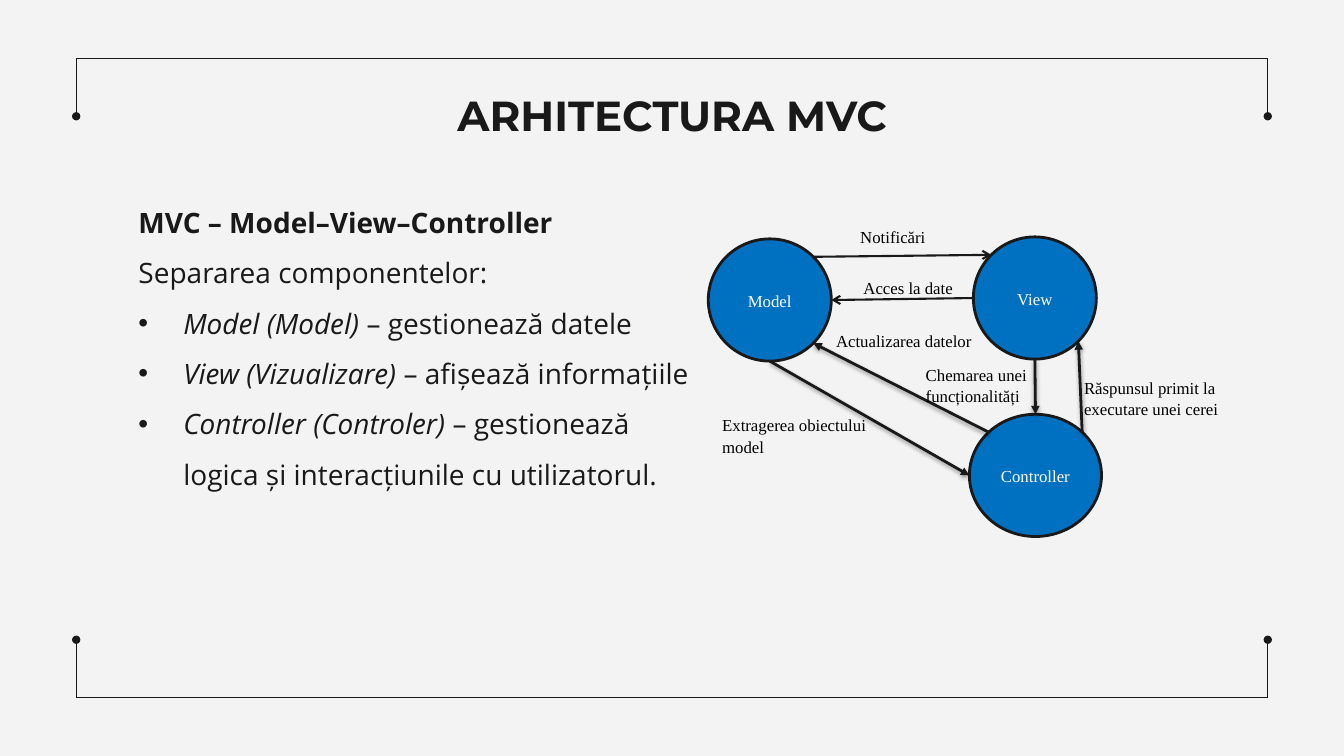
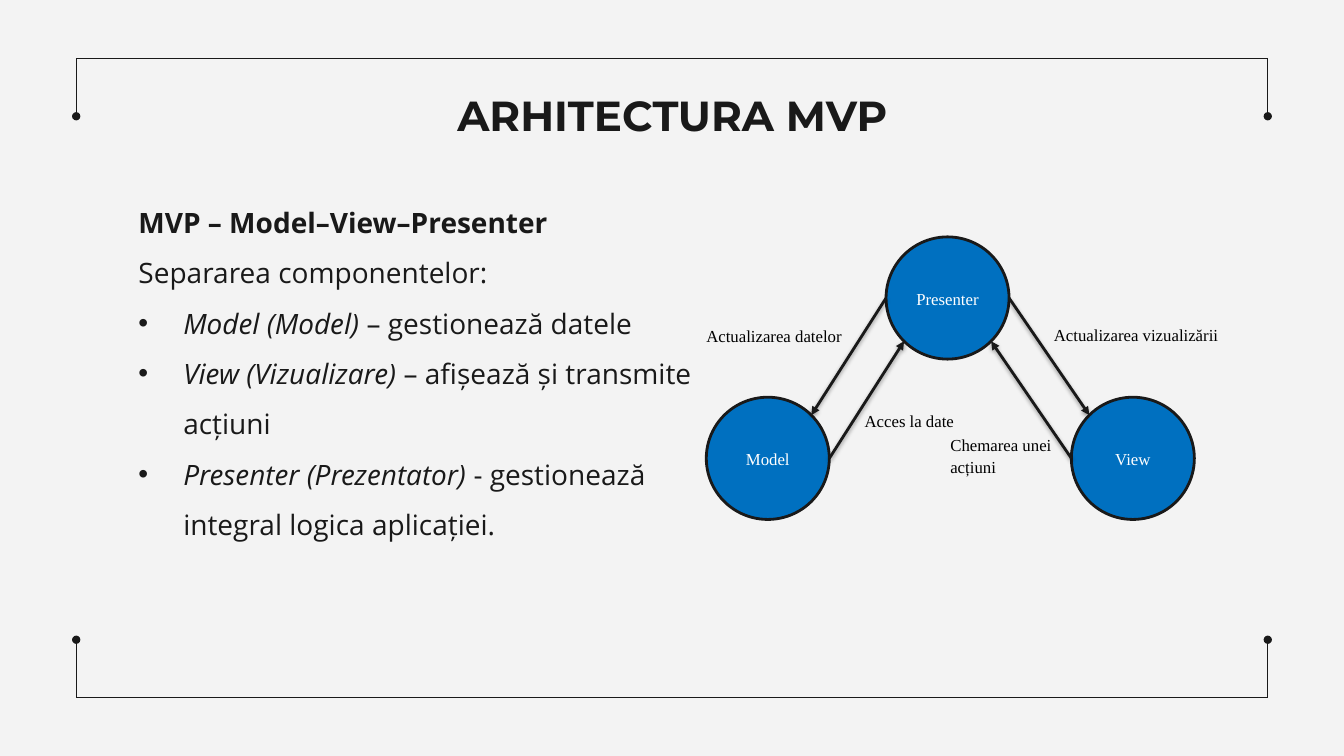
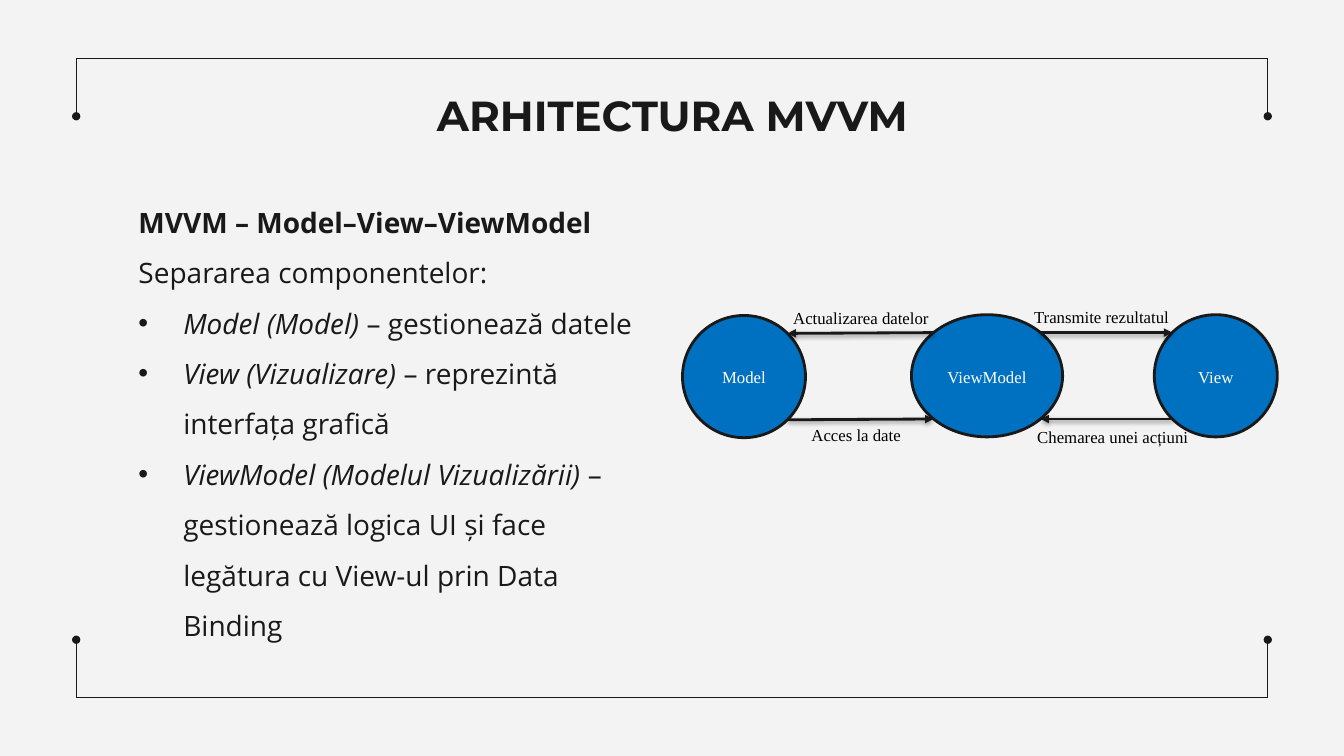
from math import cos, radians, sin

from lxml.etree import SubElement
from pptx import Presentation
from pptx.dml.color import RGBColor
from pptx.enum.shapes import MSO_CONNECTOR, MSO_SHAPE
from pptx.enum.text import MSO_ANCHOR, MSO_AUTO_SIZE, PP_ALIGN
from pptx.oxml.ns import qn
from pptx.util import Cm, Pt

COLORS = {"bg": "F3F3F3", "ink": "191919", "node": "0070C0",
          "white": "FFFFFF", "label": "000000"}
TITLE_FONT, BODY_FONT, DIAGRAM_FONT = "Montserrat", "Open Sans", "Times New Roman"
SLIDE_W, SLIDE_H = 33.87, 19.05
SITES = ["top", "top left", "left", "bottom left",
         "bottom", "bottom right", "right", "top right"]
NODE_W, NODE_H = 3.1, 3.08

SLIDES = [
    {
        "title": "ARHITECTURA MVC",
        "heading": "MVC – Model–View–Controller",
        "bullets": [("Model (Model)", " – gestionează datele"),
                    ("View (Vizualizare)", " – afișează informațiile"),
                    ("Controller (Controler)",
                     " – gestionează logica și interacțiunile cu utilizatorul.")],
        "body": (2.67, 4.5, 15.24, 8.28),
        "origin": (17.85, 5.54),
        "nodes": {"Model": (0, 0.48, NODE_W), "View": (6.68, 0.43, NODE_W),
                  "Controller": (6.58, 4.9, 3.33)},
        "arrows": [("Model", "bottom", "Controller", "left", True),
                   ("Controller", "top left", "Model", "bottom right", True),
                   ("View", "left", "Model", "right", False),
                   ("View", "bottom", "Controller", "top", True),
                   ("Controller", "top right", "View", "bottom right", True),
                   ("Model", "top right", "View", "top left", False)],
        "labels": [("Acces la date", 3.66, 1.3, 2.9),
                   ("Notificări", 3.58, 0, 2.7),
                   ("Răspunsul primit la executare unei cerei", 9.22, 3.81, 4.11),
                   ("Chemarea unei funcționalități", 5.23, 3.48, 3.48),
                   ("Actualizarea datelor", 2.97, 2.64, 4.22),
                   ("Extragerea obiectului model", 0.1, 4.75, 4.22)],
    },
    {
        "title": "ARHITECTURA MVP",
        "heading": "MVP – Model–View–Presenter",
        "bullets": [("Model (Model)", " – gestionează datele"),
                    ("View (Vizualizare)", " – afișează și transmite acțiuni"),
                    ("Presenter (Prezentator)",
                     " - gestionează integral logica aplicației.")],
        "body": (2.67, 4.5, 15.09, 9.25),
        "origin": (17.55, 5.97),
        "nodes": {"Model": (0.25, 4.04, NODE_W), "View": (9.45, 4.04, NODE_W),
                  "Presenter": (4.78, 0, NODE_W)},
        "arrows": [("Model", "right", "Presenter", "bottom left", True),
                   ("Presenter", "left", "Model", "top right", True),
                   ("View", "left", "Presenter", "bottom right", True),
                   ("Presenter", "right", "View", "top left", True)],
        "labels": [("Actualizarea datelor", 0, 2.08, 4.5),
                   ("Acces la date", 3.99, 4.22, 3),
                   ("Chemarea unei acțiuni", 6.15, 4.83, 3.1),
                   ("Actualizarea vizualizării", 8.76, 2.06, 4.9)],
    },
    {
        "title": "ARHITECTURA MVVM",
        "heading": "MVVM – Model–View–ViewModel",
        "bullets": [("Model (Model)", " – gestionează datele"),
                    ("View (Vizualizare)", " – reprezintă interfața grafică"),
                    ("ViewModel (Modelul Vizualizării)",
                     " – gestionează logica UI și face legătura cu View-ul prin Data Binding")],
        "body": (2.67, 4.5, 13.82, 10.62),
        "origin": (17.2, 7.57),
        "nodes": {"Model": (0, 0.38, NODE_W), "View": (11.89, 0.36, NODE_W),
                  "ViewModel": (5.77, 0.36, 3.81)},
        "arrows": [("Model", "bottom right", "ViewModel", "bottom left", True),
                   ("ViewModel", "top left", "Model", "top right", True),
                   ("View", "bottom left", "ViewModel", "bottom right", True),
                   ("ViewModel", "top right", "View", "top left", True)],
        "labels": [("Actualizarea datelor", 2.54, 0.03, 4.5),
                   ("Acces la date", 3, 2.97, 3),
                   ("Chemarea unei acțiuni", 8.69, 3.02, 4.52),
                   ("Transmite rezultatul", 8.61, 0, 4.06)],
    },
]


def rgb(name):
    return RGBColor.from_string(COLORS[name])


def write(p, text, size=12, font=DIAGRAM_FONT, color="label", bold=False,
          italic=False, align=PP_ALIGN.LEFT, spacing=None, after=None):
    p.alignment = align
    if spacing:
        p.line_spacing = spacing
    if after:
        p.space_after = Pt(after)
    r = p.add_run()
    r.text = text
    r.font.size, r.font.name = Pt(size), font
    r.font.bold, r.font.italic = bold, italic
    r.font.color.rgb = rgb(color)


def set_frame(tf, inset_x=0.25, inset_y=0.25, anchor=MSO_ANCHOR.TOP):
    tf.word_wrap = True
    tf.auto_size = MSO_AUTO_SIZE.NONE
    tf.vertical_anchor = anchor
    tf.margin_left = tf.margin_right = Cm(inset_x)
    tf.margin_top = tf.margin_bottom = Cm(inset_y)


def add_line(shapes, start, end, width, tail=None, shadow=False):
    cxn = shapes.add_connector(MSO_CONNECTOR.STRAIGHT, *map(Cm, start + end))
    cxn.line.color.rgb = rgb("ink")
    cxn.line.width = Pt(width)
    if tail:
        SubElement(cxn.line._get_or_add_ln(), qn("a:tailEnd"), type=tail)
    effects = SubElement(cxn._element.spPr, qn("a:effectLst"))
    if shadow:
        outer = SubElement(effects, qn("a:outerShdw"), blurRad="40000",
                           dist="20000", dir="5400000", rotWithShape="0")
        clr = SubElement(outer, qn("a:srgbClr"), val=COLORS["label"])
        SubElement(clr, qn("a:alpha"), val="38000")
    return cxn


def add_border(layout, shapes, margin_x=1.92, margin_y=1.47, arm=1.46):
    left, right = margin_x, SLIDE_W - margin_x
    lines = []
    for y, step in ((margin_y, arm), (SLIDE_H - margin_y, -arm)):
        lines.append(add_line(shapes, (left, y), (right, y), 0.75))
        for x in (left, right):
            lines.append(add_line(shapes, (x, y), (x, y + step), 0.75, "oval"))
    for number, line in enumerate(lines, 20):
        line._element.nvCxnSpPr.cNvPr.id = number
        layout.shapes.element.append(line._element)


def add_title(s, text, box=(2.67, 2.01, 28.55, 2.13)):
    sp = s.shapes.title
    sp.left, sp.top, sp.width, sp.height = map(Cm, box)
    set_frame(sp.text_frame)
    write(sp.text_frame.paragraphs[0], text, size=30, font=TITLE_FONT,
          color="ink", bold=True, align=PP_ALIGN.CENTER)


def add_body(s, box, heading, bullets):
    tf = s.shapes.add_textbox(*map(Cm, box)).text_frame
    set_frame(tf)
    rows = [[(heading, {"bold": True})], [("Separarea componentelor:", {})]]
    rows += [[(name, {"italic": True}), (role, {})] for name, role in bullets]
    for i, row in enumerate(rows):
        p = tf.add_paragraph() if i else tf.paragraphs[0]
        pPr = p._p.get_or_add_pPr()
        pPr.set("marL", str(Cm(1.7 if i > 1 else 0.57)))
        pPr.set("indent", str(Cm(-1.13 if i > 1 else 0)))
        p.line_spacing = 1.5
        if i > 1:
            clr = SubElement(pPr, qn("a:buClr"))
            SubElement(clr, qn("a:srgbClr"), val=COLORS["ink"])
            SubElement(pPr, qn("a:buFont"), typeface="Arial")
            SubElement(pPr, qn("a:buChar"), char="•")
        for text, style in row:
            write(p, text, size=20, font=BODY_FONT, color="ink", **style)


def add_node(s, text, x, y, w):
    sp = s.shapes.add_shape(MSO_SHAPE.OVAL, *map(Cm, (x, y, w, NODE_H)))
    sp.shadow.inherit = False
    sp.fill.solid()
    sp.fill.fore_color.rgb = rgb("node")
    sp.line.color.rgb = rgb("ink")
    sp.line.width = Pt(2)
    set_frame(sp.text_frame, 0, 0.13, MSO_ANCHOR.MIDDLE)
    write(sp.text_frame.paragraphs[0], text, color="white",
          align=PP_ALIGN.CENTER, spacing=1.07, after=8)
    return sp


def site_point(sp, site):
    angle = radians(90 + 45 * SITES.index(site))
    return (sp.left.cm + sp.width.cm / 2 * (1 + cos(angle)),
            sp.top.cm + sp.height.cm / 2 * (1 - sin(angle)))


def add_arrow(s, source, source_site, target, target_site, heavy):
    cxn = add_line(s.shapes, site_point(source, source_site),
                   site_point(target, target_site), 2 if heavy else 1.5,
                   "triangle" if heavy else "arrow", shadow=heavy)
    glue = cxn._element.nvCxnSpPr.cNvCxnSpPr
    for tag, sp, site in (("a:stCxn", source, source_site),
                          ("a:endCxn", target, target_site)):
        SubElement(glue, qn(tag), id=str(sp.shape_id), idx=str(SITES.index(site)))


def add_label(s, text, x, y, w):
    height = 0.9 if w > 1.2 + len(text) * 0.13 else 1.35
    tf = s.shapes.add_textbox(*map(Cm, (x, y, w, height))).text_frame
    set_frame(tf, 0.25, 0.13)
    write(tf.paragraphs[0], text, spacing=1.07, after=8)


def add_diagram(s, origin, nodes, arrows, labels):
    left, top = origin
    ovals = {name: add_node(s, name, left + x, top + y, w)
             for name, (x, y, w) in nodes.items()}
    for source, source_site, target, target_site, heavy in arrows:
        add_arrow(s, ovals[source], source_site, ovals[target], target_site, heavy)
    for text, x, y, w in labels:
        add_label(s, text, left + x, top + y, w)


def main():
    prs = Presentation()
    prs.slide_width, prs.slide_height = Cm(SLIDE_W), Cm(SLIDE_H)
    fill = prs.slide_master.background.fill
    fill.solid()
    fill.fore_color.rgb = rgb("bg")
    layout = prs.slide_layouts.get_by_name("Title Only")
    for i, data in enumerate(SLIDES):
        s = prs.slides.add_slide(layout)
        if i == 0:
            add_border(layout, s.shapes)
        add_title(s, data["title"])
        add_body(s, data["body"], data["heading"], data["bullets"])
        add_diagram(s, data["origin"], data["nodes"], data["arrows"], data["labels"])
    prs.save("out.pptx")


if __name__ == "__main__":
    main()
